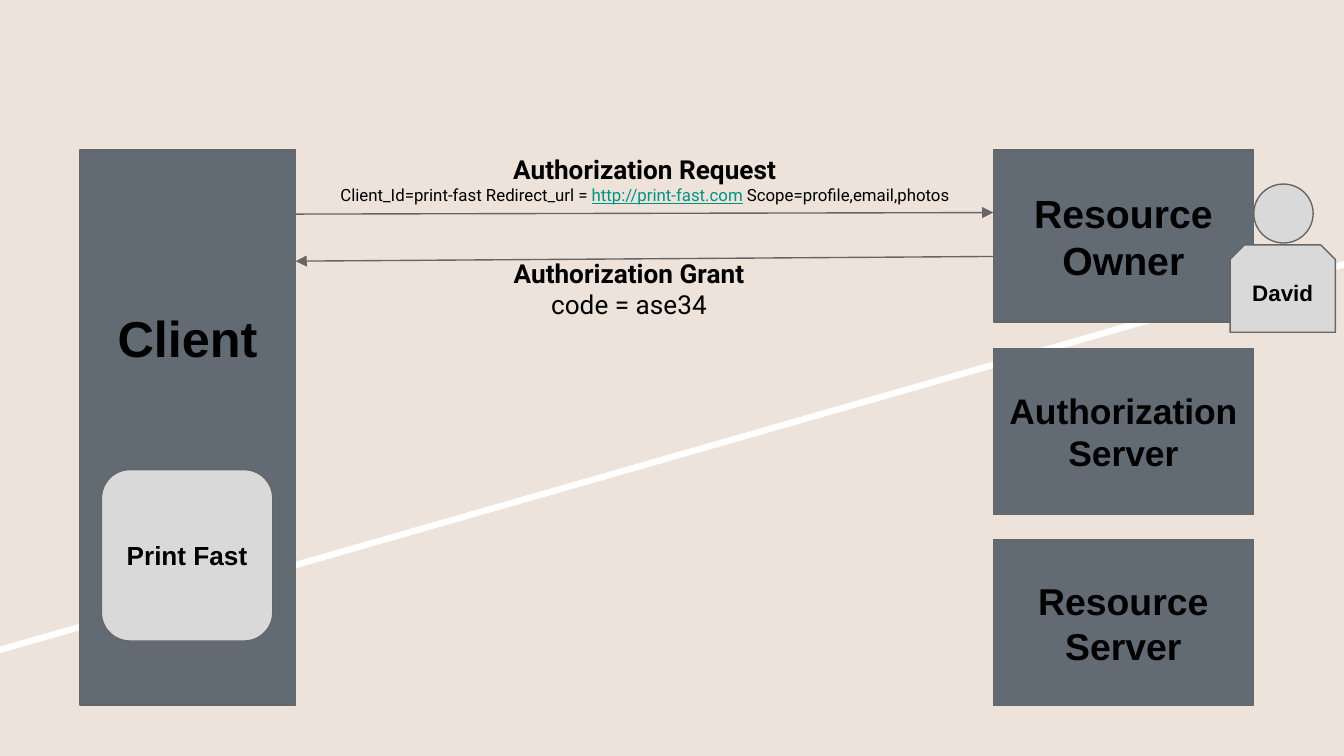
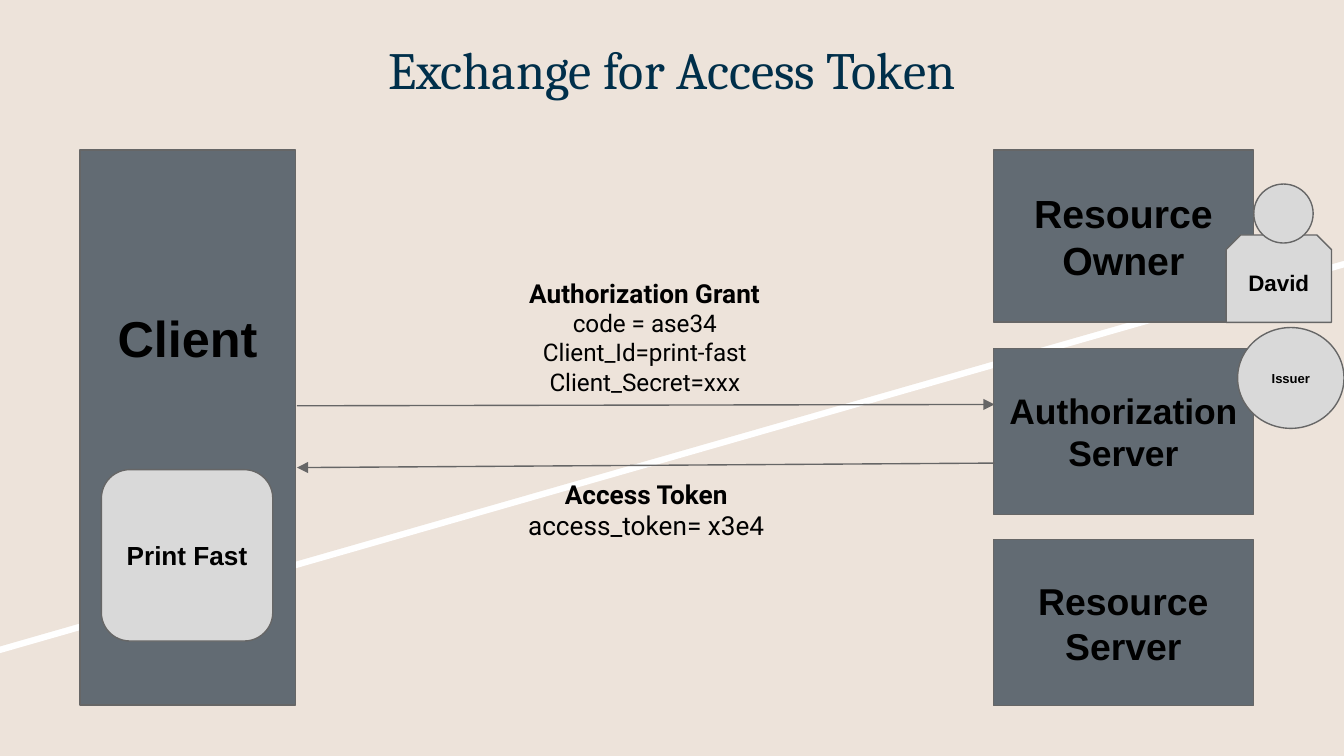
from dataclasses import dataclass, replace
from typing import NamedTuple

from lxml import etree
from pptx import Presentation
from pptx.dml.color import RGBColor
from pptx.enum.shapes import MSO_CONNECTOR, MSO_SHAPE
from pptx.enum.text import MSO_ANCHOR, PP_ALIGN
from pptx.oxml.ns import qn
from pptx.util import Pt

RECTANGLE = MSO_SHAPE.RECTANGLE
ROUNDED = MSO_SHAPE.ROUNDED_RECTANGLE
SNIPPED = MSO_SHAPE.SNIP_2_SAME_RECTANGLE
OVAL = MSO_SHAPE.OVAL
FLOW_CIRCLE = MSO_SHAPE.FLOWCHART_CONNECTOR
STRAIGHT = MSO_CONNECTOR.STRAIGHT
MIDDLE = MSO_ANCHOR.MIDDLE
CENTER = PP_ALIGN.CENTER


# Theme
@dataclass(frozen=True)
class Theme:
    sand: str = "EDE3DA"
    white: str = "FFFFFF"
    slate: str = "626B73"
    silver: str = "D9D9D9"
    outline: str = "666666"
    ink: str = "000000"
    navy: str = "002F4A"
    teal: str = "009384"
    title_font: str = "Cambria"
    box_font: str = "Arial"
    message_font: str = "Roboto"
    title: float = 28
    client: float = 27
    owner: float = 21
    authorization: float = 19
    resource: float = 20
    message: float = 14
    detail: float = 13
    small: float = 9
    app: float = 14
    person: float = 12
    provider: float = 7
    line: float = 0.75
    inset: float = 7.2


THEME = Theme()
WIDTH, HEIGHT = 720, 405


class Frame(NamedTuple):
    left: float
    top: float
    width: float
    height: float


@dataclass(frozen=True)
class Span:
    text: str
    size: float = THEME.message
    bold: bool = False
    color: str = THEME.ink
    underline: bool = False
    font: str = THEME.message_font


@dataclass(frozen=True)
class Box:
    frame: Frame
    label: str = ""
    size: float = THEME.app
    fill: str = THEME.slate
    kind: MSO_SHAPE = RECTANGLE
    bottom_inset: float = THEME.inset


class Arrow(NamedTuple):
    start: tuple[float, float]
    end: tuple[float, float]


class Message(NamedTuple):
    frame: Frame
    lines: list[list[Span]]


# Elements on both slides
SERVER_LEFT, SERVER_WIDTH = 532.2, 139.2
ROLES = [
    Box(Frame(42.8, 80.4, 115.4, 297.4), "Client", THEME.client, bottom_inset=104),
    Box(Frame(SERVER_LEFT, 80.4, SERVER_WIDTH, 92.2), "Resource Owner", THEME.owner),
    Box(Frame(SERVER_LEFT, 186.7, SERVER_WIDTH, 88.8), "Authorization Server",
        THEME.authorization),
    Box(Frame(SERVER_LEFT, 289.2, SERVER_WIDTH, 88.8), "Resource Server",
        THEME.resource),
]
APP = Box(Frame(54.3, 251.6, 91.8, 91.8), "Print Fast", fill=THEME.silver, kind=ROUNDED)
BODY = Box(Frame(659, 131.2, 56.4, 46.8), "David", THEME.person, THEME.silver, SNIPPED)
HEAD = Box(Frame(671.7, 98.6, 31.8, 31.6), fill=THEME.silver, kind=OVAL)
PROVIDER = Box(Frame(663, 175.5, 57, 54), "Issuer", THEME.provider,
               THEME.silver, FLOW_CIRCLE)


def color_of(value: str) -> RGBColor:
    return RGBColor.from_string(value)


def apply(target, values: dict) -> None:
    for name, value in values.items():
        setattr(target, name, value)


def write(shape, lines: list[list[Span]], bottom_inset: float = THEME.inset) -> None:
    text = shape.text_frame
    apply(text, {
        "word_wrap": True, "vertical_anchor": MIDDLE,
        "margin_left": Pt(THEME.inset), "margin_right": Pt(THEME.inset),
        "margin_top": Pt(THEME.inset), "margin_bottom": Pt(bottom_inset),
    })
    for index, spans in enumerate(lines):
        para = text.add_paragraph() if index else text.paragraphs[0]
        para.alignment = CENTER
        for span in spans:
            run = para.add_run()
            run.text = span.text
            apply(run.font, {"name": span.font, "size": Pt(span.size),
                             "bold": span.bold, "underline": span.underline})
            run.font.color.rgb = color_of(span.color)


def paint(shape, fill: str) -> None:
    shape.shadow.inherit = False
    shape.fill.solid()
    shape.fill.fore_color.rgb = color_of(fill)


def add_box(page, box: Box) -> None:
    shape = page.shapes.add_shape(box.kind, *map(Pt, box.frame))
    paint(shape, box.fill)
    shape.line.color.rgb = color_of(THEME.outline)
    shape.line.width = Pt(THEME.line)
    if box.label:
        label = Span(box.label, box.size, bold=True, font=THEME.box_font)
        write(shape, [[label]], box.bottom_inset)


def add_message(page, message: Message) -> None:
    write(page.shapes.add_textbox(*map(Pt, message.frame)), message.lines)


def add_arrow(page, arrow: Arrow) -> None:
    line = page.shapes.add_connector(STRAIGHT, *map(Pt, arrow.start + arrow.end))
    line.line.color.rgb = color_of(THEME.outline)
    line.line.width = Pt(THEME.line)
    outline = line._element.spPr.find(qn("a:ln"))
    etree.SubElement(outline, qn("a:tailEnd"), type="triangle")
    etree.SubElement(line._element.spPr, qn("a:effectLst"))


def add_backdrop(page) -> None:
    page.background.fill.solid()
    page.background.fill.fore_color.rgb = color_of(THEME.sand)
    # The white area shows only as a stripe below the sand area
    for top, fill in ((3.6, THEME.white), (0, THEME.sand)):
        outline = page.shapes.build_freeform(0, Pt(top))
        outline.add_line_segments([
            (Pt(WIDTH), Pt(top)), (Pt(WIDTH), Pt(top + 139.7)), (0, Pt(top + 346.3)),
        ])
        area = outline.convert_to_shape()
        paint(area, fill)
        area.line.fill.background()


def add_flow(deck, arrows: list[Arrow], messages: list[Message],
             people: list[Box], title: str = "") -> None:
    page = deck.slides.add_slide(deck.slide_layouts[6])
    add_backdrop(page)
    if title:
        heading = Span(title, THEME.title, color=THEME.navy, font=THEME.title_font)
        add_message(page, Message(Frame(24.5, 6.9, 671, 59.8), [[heading]]))
    for role in ROLES:
        add_box(page, role)
    for arrow in arrows:
        add_arrow(page, arrow)
    for message in messages:
        add_message(page, message)
    for box in [APP, *people]:
        add_box(page, box)


def main() -> None:
    deck = Presentation()
    deck.slide_width, deck.slide_height = Pt(WIDTH), Pt(HEIGHT)

    # Authorization request and grant
    add_flow(
        deck,
        [Arrow((158.4, 114.7), (532.1, 113.9)), Arrow((532.1, 137.4), (158.4, 139.9))],
        [
            Message(Frame(173.7, 80.2, 343.4, 31.7), [
                [Span("Authorization Request", bold=True)],
                [
                    Span("Client_Id=print-fast Redirect_url = ", THEME.small),
                    Span("http://print-fast.com", THEME.small,
                         color=THEME.teal, underline=True),
                    Span(" Scope=profile,email,photos", THEME.small),
                ],
            ]),
            Message(Frame(202, 138.8, 270, 31.7), [
                [Span("Authorization Grant", bold=True)],
                [Span("code = ase34")],
            ]),
        ],
        [BODY, HEAD],
    )

    # Exchange of the grant for a token
    details = ["code = ase34", "Client_Id=print-fast", "Client_Secret=xxx"]
    add_flow(
        deck,
        [Arrow((159.1, 217.4), (532.8, 216.7)), Arrow((532.8, 248.1), (159.1, 250.5))],
        [
            Message(Frame(169, 143.2, 352.8, 74.2), [
                [Span("Authorization Grant", bold=True)],
                *[[Span(detail, THEME.detail)] for detail in details],
            ]),
            Message(Frame(197.2, 251.5, 298, 43.2), [
                [Span("Access Token", bold=True)],
                [Span("access_token= x3e4")],
            ]),
        ],
        [PROVIDER, replace(BODY, frame=BODY.frame._replace(left=656.9, top=125.9)), HEAD],
        "Exchange for Access Token",
    )
    deck.save("out.pptx")


if __name__ == "__main__":
    main()
